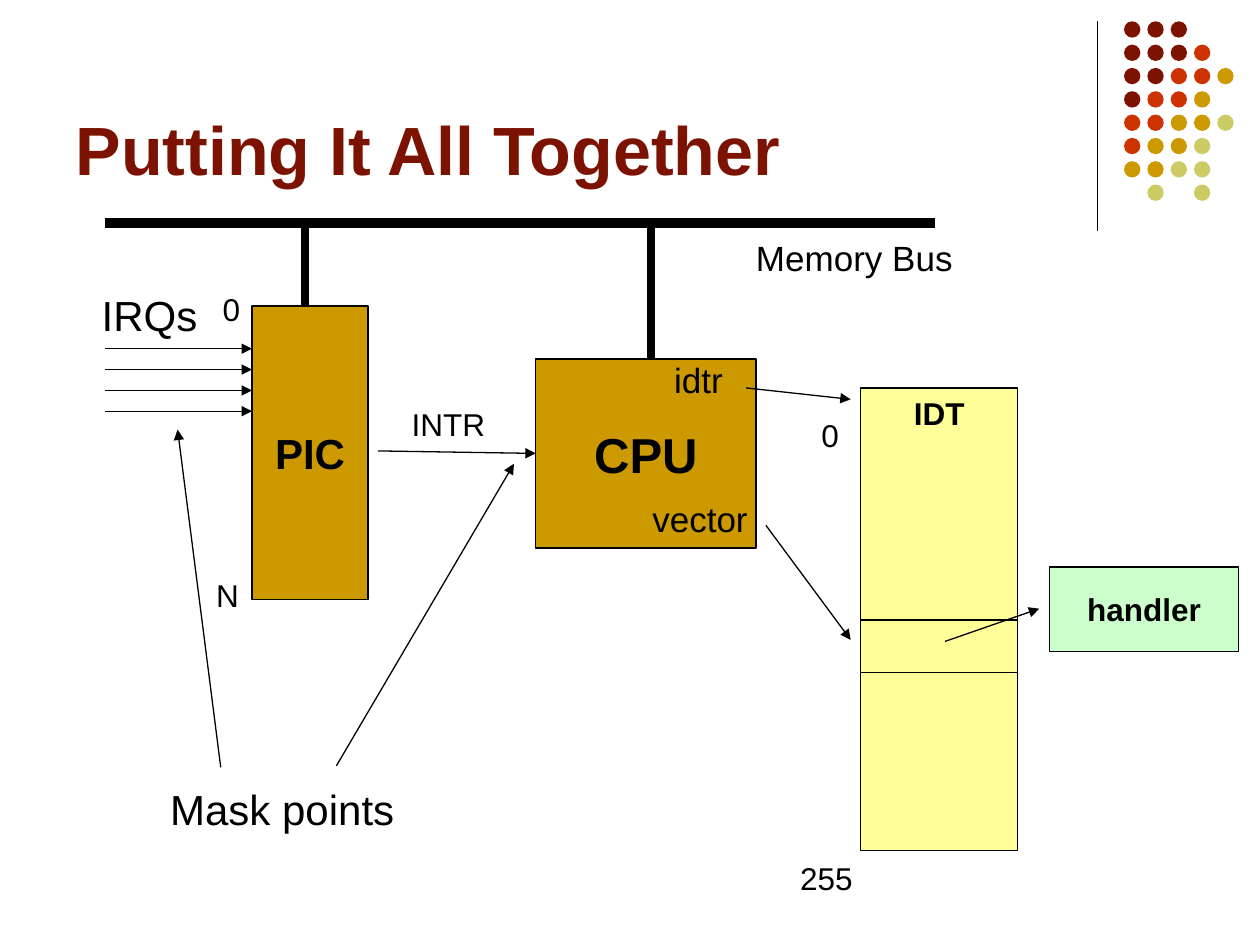
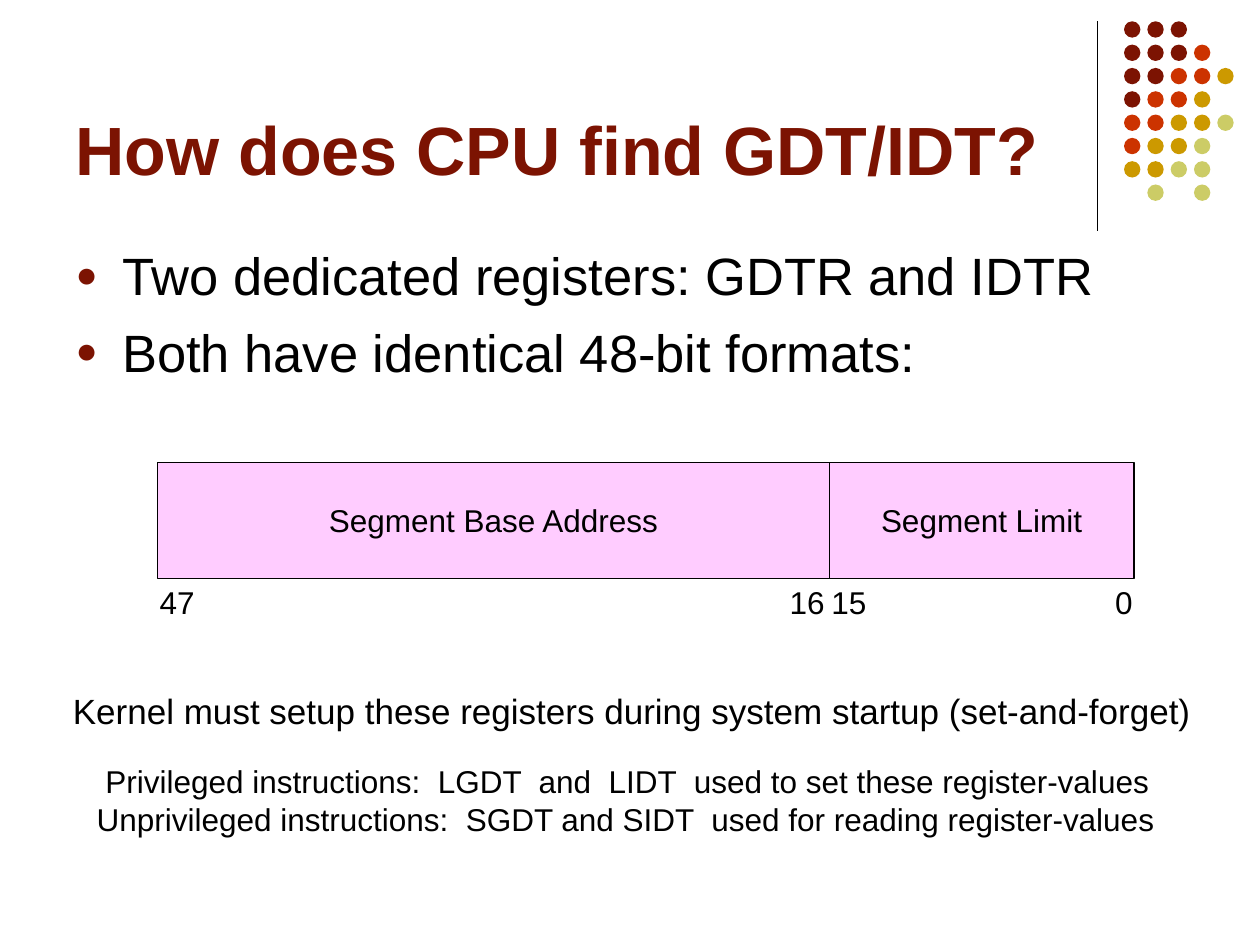
import pptx
import pptx.util
import pptx.dml.color
import pptx.enum.shapes
import pptx.enum.text
import pptx.oxml.ns
import lxml.etree

Cm, Pt = pptx.util.Cm, pptx.util.Pt
RGBColor = pptx.dml.color.RGBColor
Anchor = pptx.enum.text.MSO_ANCHOR
Align = pptx.enum.text.PP_ALIGN
Shape = pptx.enum.shapes.MSO_SHAPE
qn = pptx.oxml.ns.qn

# Shared style
FONT = "Arial"
BLACK = RGBColor(0x00, 0x00, 0x00)
MAROON = RGBColor(0x7C, 0x13, 0x02)
RED = RGBColor(0xCC, 0x33, 0x00)
GOLD = RGBColor(0xCC, 0x99, 0x00)
OLIVE = RGBColor(0xCC, 0xCC, 0x66)
YELLOW = RGBColor(0xFF, 0xFF, 0x99)
GREEN = RGBColor(0xCC, 0xFF, 0xCC)
PINK = RGBColor(0xFF, 0xCC, 0xFF)
THIN = 0.75
TITLE_ONLY, TITLE_AND_BODY = 5, 1
TITLE_AREA = (1.27, 0.33, 20.95, 3.61)
BODY_AREA = (1.27, 4.78, 22.86, 12.24)

# Corner ornament: one letter per dot
DOT_ROWS = ["MMM", "MMMR", "MMRRG", "MRRG", "RRGGO", "RGGO", "GGOO", " O O"]
DOT_COLORS = {"M": MAROON, "R": RED, "G": GOLD, "O": OLIVE}
DOT_LEFT, DOT_TOP, DOT_PITCH, DOT_SIZE = 22.66, 0.43, 0.47, 0.33
ORNAMENT_RULE = (22.12, 0.43, 22.12, 4.65)

# Interrupt path: lengths in cm
# Boxes: text, area, fill, size, bold, anchor
INTERRUPT_BOXES = [
    ("PIC", (5.08, 6.17, 2.34, 5.92), GOLD, 24, True, Anchor.MIDDLE),
    ("CPU", (10.8, 7.24, 4.44, 3.81), GOLD, 28, True, Anchor.MIDDLE),
    ("IDT", (17.35, 7.82, 3.17, 9.32), YELLOW, 18, True, Anchor.TOP),
    ("handler", (21.16, 11.43, 3.81, 1.7), GREEN, 18, True, Anchor.MIDDLE),
]
# Labels: text, left, top, width, size
INTERRUPT_LABELS = [
    ("Memory Bus", 14.99, 4.65, 4.47, 20),
    ("INTR", 8.05, 8.05, 1.98, 18),
    ("0", 4.24, 5.72, 0.86, 18),
    ("N", 4.11, 11.48, 0.97, 18),
    ("IRQs", 1.8, 5.72, 2.44, 24),
    ("0", 16.31, 8.26, 0.86, 18),
    ("255", 15.88, 17.2, 1.55, 18),
    ("idtr", 13.34, 7.11, 1.47, 20),
    ("vector", 12.9, 9.91, 2.44, 20),
    ("Mask points", 3.18, 15.67, 5.03, 24),
]
# Lines: start x, start y, end x, end y
MEMORY_BUS = (2.11, 4.5, 18.85, 4.5)
BUS_DROPS = [(6.14, 6.17, 6.14, 4.5), (13.13, 7.24, 13.13, 4.5)]
IRQ_COUNT, IRQ_TOP, IRQ_PITCH = 4, 7.03, 0.42
IRQ_START, IRQ_END = 2.11, 5.08
IDT_ENTRY_EDGES = [12.5, 13.55]
INTERRUPT_ARROWS = [
    (7.62, 9.09, 10.8, 9.14),
    (15.04, 7.82, 17.15, 8.05),
    (15.44, 10.59, 17.15, 12.9),
    (19.05, 12.93, 20.95, 12.27),
    (4.45, 15.47, 3.58, 8.66),
    (6.78, 15.44, 10.36, 9.35),
]

# Register format
REGISTER_BULLETS = [
    "Two dedicated registers: GDTR and IDTR",
    "Both have identical 48-bit formats:",
]
REGISTER_LEFT, REGISTER_TOP, REGISTER_HEIGHT = 3.18, 9.32, 2.34
REGISTER_FIELDS = [("Segment Base Address", 13.54), ("Segment Limit", 6.14)]
BIT_TOP = 11.63
# Bit numbers: text, left, width
BIT_NUMBERS = [("47", 2.97, 1.22), ("16", 15.67, 1.22),
               ("15", 16.51, 1.22), ("0", 22.23, 0.86)]
REGISTER_NOTES = [
    ("Kernel must setup these registers during system startup (set-and-forget)",
     1.22, 13.77, 23.06, 20),
    (" Privileged instructions:  LGDT  and  LIDT  used to set these register-values\n"
     "Unprivileged instructions:  SGDT and SIDT  used for reading register-values",
     1.7, 15.24, 21.84, 18),
]


def place(shape, area):
    shape.left, shape.top, shape.width, shape.height = map(Cm, area)


def write(shape, text, size, color=BLACK, bold=False, align=Align.LEFT,
          anchor=Anchor.TOP, wrap=False):
    frame = shape.text_frame
    frame.text = text
    frame.word_wrap = wrap
    frame.auto_size = pptx.enum.text.MSO_AUTO_SIZE.NONE
    frame.vertical_anchor = anchor
    for paragraph in frame.paragraphs:
        paragraph.alignment = align
        for run in paragraph.runs:
            run.font.name = FONT
            run.font.size = Pt(size)
            run.font.bold = bold
            run.font.color.rgb = color


def add_box(slide, text, area, fill, size, bold=False, anchor=Anchor.MIDDLE):
    box = slide.shapes.add_shape(Shape.RECTANGLE, *map(Cm, area))
    box.shadow.inherit = False
    box.fill.solid()
    box.fill.fore_color.rgb = fill
    box.line.color.rgb = BLACK
    box.line.width = Pt(THIN)
    write(box, text, size, bold=bold, align=Align.CENTER, anchor=anchor)


def add_label(slide, text, left, top, width, size):
    line_count = text.count("\n") + 1
    height = Pt(7.2 + 1.15 * size * line_count)
    label = slide.shapes.add_textbox(Cm(left), Cm(top), Cm(width), height)
    write(label, text, size)


def add_line(slide, ends, weight=THIN, arrow=False):
    line = slide.shapes.add_connector(
        pptx.enum.shapes.MSO_CONNECTOR.STRAIGHT, *map(Cm, ends))
    line.line.color.rgb = BLACK
    line.line.width = Pt(weight)
    properties = line.element.spPr
    if arrow:
        outline = properties.find(qn("a:ln"))
        lxml.etree.SubElement(outline, qn("a:tailEnd"), type="triangle")
    lxml.etree.SubElement(properties, qn("a:effectLst"))
    return line


def add_dots(slide):
    group = slide.shapes.add_group_shape()
    for row, letters in enumerate(DOT_ROWS):
        for column, letter in enumerate(letters):
            if letter == " ":
                continue
            area = (DOT_LEFT + column * DOT_PITCH, DOT_TOP + row * DOT_PITCH,
                    DOT_SIZE, DOT_SIZE)
            dot = group.shapes.add_shape(Shape.OVAL, *map(Cm, area))
            dot.shadow.inherit = False
            dot.fill.solid()
            dot.fill.fore_color.rgb = DOT_COLORS[letter]
            dot.line.fill.background()
    return group


def move_to_master(master, shapes):
    """Let every slide show the shapes, with unique numbers on the master."""
    for shape in shapes:
        master.shapes.element.append(shape.element)
    for number, node in enumerate(master.element.iter(qn("p:cNvPr")), 1):
        node.set("id", str(number))


def add_slide(presentation, layout, title):
    slide = presentation.slides.add_slide(presentation.slide_layouts[layout])
    place(slide.shapes.title, TITLE_AREA)
    write(slide.shapes.title, title, 39, MAROON, bold=True,
          anchor=Anchor.BOTTOM, wrap=True)
    return slide


def add_bullets(slide, items):
    body = slide.placeholders[1]
    place(body, BODY_AREA)
    write(body, "\n".join(items), 30, wrap=True)
    for paragraph in body.text_frame.paragraphs:
        paragraph.space_before = Pt(7.5)
        properties = paragraph._p.get_or_add_pPr()
        properties.set("marL", str(Cm(0.94)))
        properties.set("indent", str(-Cm(0.94)))
        color = lxml.etree.SubElement(properties, qn("a:buClr"))
        lxml.etree.SubElement(color, qn("a:srgbClr"), val=str(MAROON))
        lxml.etree.SubElement(properties, qn("a:buSzPct"), val="70000")
        lxml.etree.SubElement(properties, qn("a:buFont"), typeface=FONT)
        lxml.etree.SubElement(properties, qn("a:buChar"), char="●")


def build_interrupt_slide(presentation):
    slide = add_slide(presentation, TITLE_ONLY, "Putting It All Together")
    for box in INTERRUPT_BOXES:
        add_box(slide, *box)

    # Memory bus and its drops
    add_line(slide, MEMORY_BUS, 6)
    for drop in BUS_DROPS:
        add_line(slide, drop, 4.5)

    # Interrupt request lines
    for index in range(IRQ_COUNT):
        y = IRQ_TOP + index * IRQ_PITCH
        add_line(slide, (IRQ_START, y, IRQ_END, y), arrow=True)

    # Selected table entry
    idt_left, _, idt_width, _ = INTERRUPT_BOXES[2][1]
    for y in IDT_ENTRY_EDGES:
        add_line(slide, (idt_left, y, idt_left + idt_width, y))

    for arrow in INTERRUPT_ARROWS:
        add_line(slide, arrow, arrow=True)
    for label in INTERRUPT_LABELS:
        add_label(slide, *label)


def build_register_slide(presentation):
    slide = add_slide(presentation, TITLE_AND_BODY, "How does CPU find GDT/IDT?")
    add_bullets(slide, REGISTER_BULLETS)

    # Register fields side by side
    left = REGISTER_LEFT
    for text, width in REGISTER_FIELDS:
        add_box(slide, text, (left, REGISTER_TOP, width, REGISTER_HEIGHT), PINK, 18)
        left += width
    for text, left, width in BIT_NUMBERS:
        add_label(slide, text, left, BIT_TOP, width, 18)

    for note in REGISTER_NOTES:
        add_label(slide, *note)


def main():
    presentation = pptx.Presentation()
    presentation.slide_width, presentation.slide_height = Cm(25.4), Cm(19.05)
    build_interrupt_slide(presentation)
    build_register_slide(presentation)

    # Ornament shared by all slides
    slide = presentation.slides[0]
    ornament = [add_line(slide, ORNAMENT_RULE), add_dots(slide)]
    move_to_master(presentation.slide_master, ornament)
    presentation.save("out.pptx")


if __name__ == "__main__":
    main()
